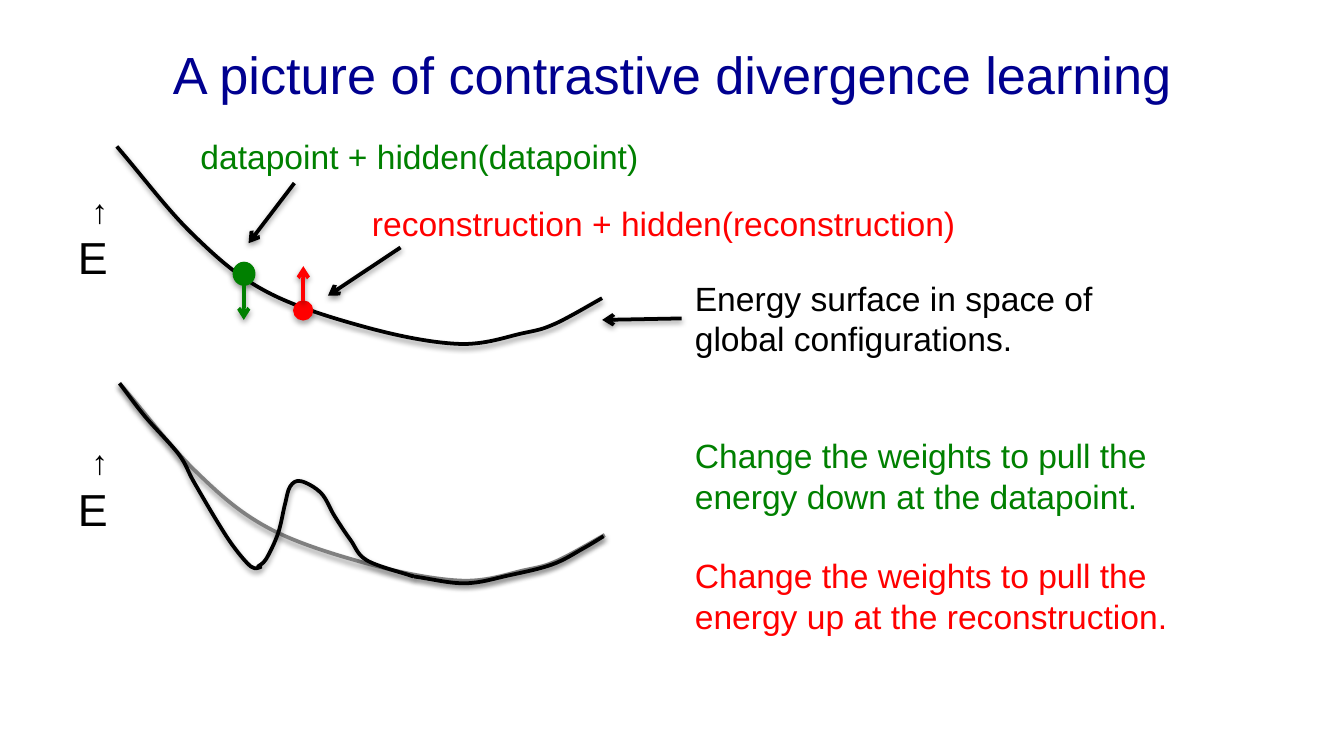
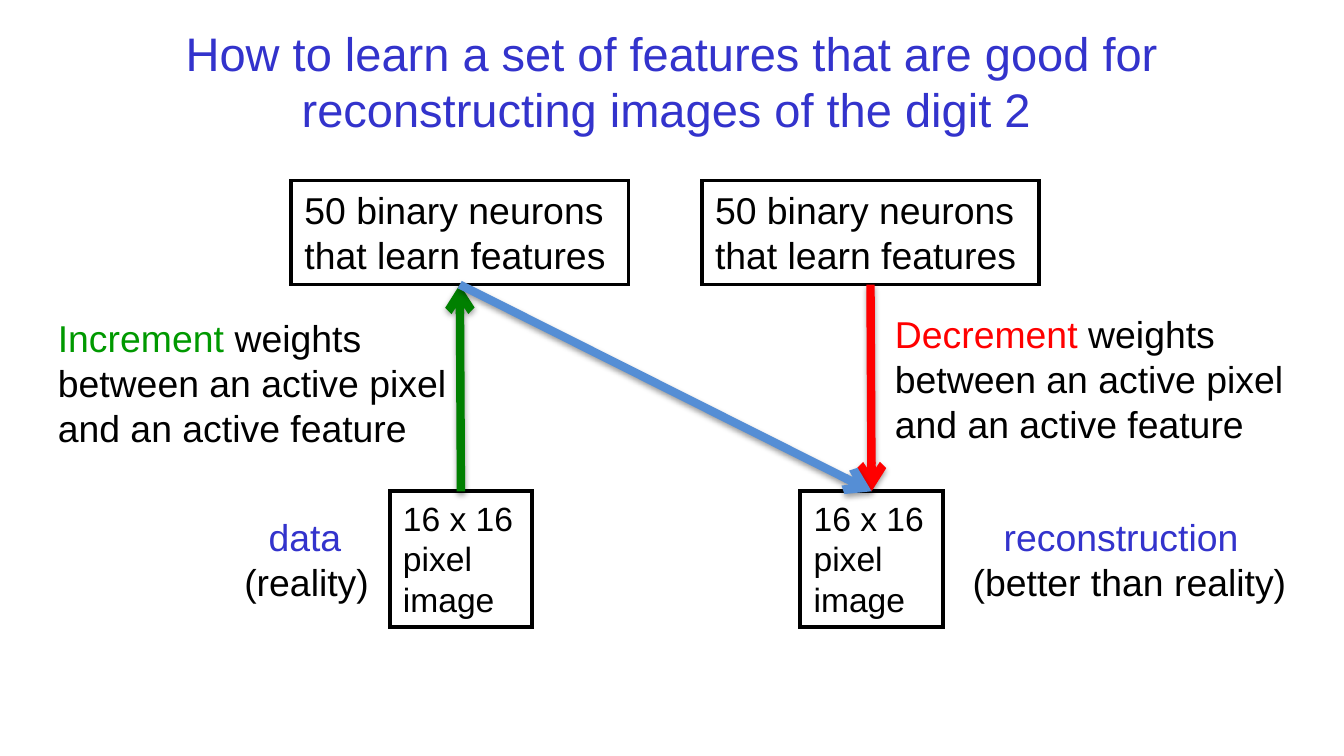
from lxml import etree
from pptx import Presentation
from pptx.dml.color import RGBColor
from pptx.enum import shapes, text
from pptx.oxml import ns
from pptx.util import Pt

HUES = {
    "black": "000000", "grey": "808080", "navy": "000090", "blue": "3333CC",
    "sky": "558ED5", "green": "008000", "leaf": "009900", "red": "FF0000",
}
LEFT, MID = text.PP_ALIGN.LEFT, text.PP_ALIGN.CENTER


def hue(name):
    return RGBColor.from_string(HUES[name])


def node(parent, tag, **attrs):
    return etree.SubElement(parent, ns.qn(tag), attrs)


class Deck:
    font = "Arial"

    def __init__(self):
        self.prs = Presentation()
        self.prs.slide_width, self.prs.slide_height = Pt(720), Pt(405)
        self.slide = None

    def page(self, runs, top, size):
        self.slide = self.prs.slides.add_slide(self.prs.slide_layouts[6])
        box = self.text(36, top, 648, 67.7, [runs], size, MID)
        box.text_frame.vertical_anchor = text.MSO_ANCHOR.MIDDLE

    def fill(self, frame, paras, size, align=LEFT, gap=0, indent=0):
        frame.word_wrap = True
        frame.vertical_anchor = text.MSO_ANCHOR.TOP
        for i, runs in enumerate(paras):
            para = frame.add_paragraph() if i else frame.paragraphs[0]
            para.alignment = align
            if i:
                para.space_before = Pt(gap)
            if indent:
                para._p.get_or_add_pPr().set("indent", str(Pt(indent)))
            for words, color, *own in runs:
                run = para.add_run()
                run.text = words
                run.font.name = self.font
                run.font.size = Pt(own[0] if own else size)
                run.font.color.rgb = hue(color)

    def text(self, x, y, w, h, paras, size=18, align=LEFT, gap=0, indent=0):
        box = self.slide.shapes.add_textbox(Pt(x), Pt(y), Pt(w), Pt(h))
        self.fill(box.text_frame, paras, size, align, gap, indent)
        return box

    def shade(self, shape, alpha=38, dist=1.6):
        effect = node(shape._element.spPr, "a:effectLst")
        shadow = node(effect, "a:outerShdw", blurRad=str(Pt(3.1)),
                      dist=str(Pt(dist)), dir="5400000", rotWithShape="0")
        color = node(shadow, "a:srgbClr", val=HUES["black"])
        node(color, "a:alpha", val=str(alpha * 1000))

    def line(self, shape, color, width):
        shape.line.color.rgb = hue(color)
        shape.line.width = Pt(width)

    def rect(self, x, y, w, h, words, size):
        box = self.slide.shapes.add_shape(
            shapes.MSO_SHAPE.RECTANGLE, Pt(x), Pt(y), Pt(w), Pt(h))
        box.fill.background()
        self.line(box, "black", 2)
        node(box.line._get_or_add_ln(), "a:miter", lim="800000")
        box.shadow.inherit = False
        self.fill(box.text_frame, [[(words, "black")]], size)
        return box

    def dot(self, x, y, w, h, color):
        dot = self.slide.shapes.add_shape(
            shapes.MSO_SHAPE.OVAL, Pt(x), Pt(y), Pt(w), Pt(h))
        dot.fill.solid()
        dot.fill.fore_color.rgb = hue(color)
        self.line(dot, color, 0.75)
        self.shade(dot, 35, 1.8)

    def arrow(self, ends, color="black", width=2):
        arrow = self.slide.shapes.add_connector(
            shapes.MSO_CONNECTOR.STRAIGHT, *(Pt(v) for v in ends))
        self.line(arrow, color, width)
        node(arrow.line._get_or_add_ln(), "a:tailEnd", type="arrow")
        self.shade(arrow)
        return arrow

    def link(self, start, side, end, stop, color):
        arrow = self.arrow((0, 0, 0, 0), color, 4.5)
        arrow.begin_connect(start, side)
        arrow.end_connect(end, stop)

    def curve(self, knots, color="black"):
        first, *rest = [(Pt(x), Pt(y)) for x, y in knots]
        pen = self.slide.shapes.build_freeform(*first, scale=1.0)
        pen.add_line_segments(rest, close=False)
        shape = pen.convert_to_shape()
        self.bend(shape)
        shape.fill.background()
        self.line(shape, color, 2)
        self.shade(shape)

    def bend(self, shape):
        outline = shape._element.spPr.find(".//" + ns.qn("a:path"))
        pts = [(int(p.get("x")), int(p.get("y")))
               for p in outline.iter(ns.qn("a:pt"))]
        (ax, ay), (bx, by) = pts[:2]
        pts = [(2 * ax - bx, 2 * ay - by), *pts, pts[-1]]
        for step in outline.findall(ns.qn("a:lnTo")):
            outline.remove(step)
        for a, b, c, d in zip(pts, pts[1:], pts[2:], pts[3:]):
            cubic = node(outline, "a:cubicBezTo")
            lead = [q + (r - p) / 6 for p, q, r in zip(a, b, c)]
            trail = [q - (r - p) / 6 for p, q, r in zip(b, c, d)]
            for x, y in (lead, trail, c):
                node(cubic, "a:pt", x=str(round(x)), y=str(round(y)))

    def axis(self, y):
        self.text(34.6, y, 48.2, 36, [[("E", "black")]], 24)
        mark = self.text(17.3, y - 35.3, 64.1, 28.8, [[("→", "black")]])
        mark.rotation = 270


def energy(deck):
    deck.page([("A picture of contrastive divergence learning", "navy")],
              5.8, 28)
    base = [(62.6, 78.5), (103, 125.3), (142.6, 156.2), (197.3, 175.7),
            (246.2, 184.3), (280.1, 178.6), (297.4, 173.5), (322.6, 159.8)]
    deck.curve(base)
    deck.dot(125, 140.6, 11.5, 12.2, "green")
    deck.dot(157.4, 161.3, 10.1, 10.1, "red")
    deck.arrow((130.6, 152.6, 130.6, 171.4), "green")
    deck.arrow((162.5, 161.3, 162.5, 142.6), "red")
    pull = "Change the weights to pull the energy "
    deck.text(365.2, 229.7, 270.7, 116.6,
              [[(pull + "down at the datapoint.", "green")],
               [(pull + "up at the reconstruction.", "red")]], gap=21)
    deck.text(100.3, 69.1, 301, 28.8,
              [[("datapoint + hidden(datapoint)", "green")]])
    deck.text(192.2, 105.1, 365, 28.8,
              [[("reconstruction + hidden(reconstruction)", "red")]])
    deck.text(365.2, 145.4, 237.6, 51.1,
              [[("Energy surface in space of global configurations.", "black")]])
    for ends in ((157.7, 98.1, 133.2, 130.3), (214.6, 132.6, 175.7, 158.4),
                 (365.2, 170.6, 322.6, 171.4)):
        deck.arrow(ends)
    deck.curve([(x + 1.4, y + 126.8) for x, y in base], "grey")
    deck.curve([(64.1, 205.4), (77.8, 223.2), (95.8, 243.4), (103.7, 257.8),
                (115.9, 278.6), (125.3, 293), (134.6, 303.6), (139.7, 303.8),
                (138.2, 303.6), (142.6, 299.5), (149, 285.8), (152.6, 270.7),
                (155.5, 260.6), (161.3, 257.8), (172.1, 264.2),
                (179.3, 276.5), (187.9, 289.4), (196.6, 300.2),
                (219.6, 308.2), (220.3, 308.2)])
    deck.curve([(221.8, 308.9), (249.1, 312.5), (272.9, 308.2),
                (295.9, 302.4), (312.5, 293.8), (323.3, 287.3)])
    for y in (119.8, 254.5):
        deck.axis(y)


def digits(deck):
    deck.page([("How to learn a set of features that are good for "
                "reconstructing images of the digit 2", "blue"),
               (" ", "navy", 21.6)], 9.4, 25.2)
    tops, lows = [], []
    for shift in (0, 220):
        tops.append(deck.rect(156 + shift, 96.7, 180.7, 55.8,
                              "50 binary neurons that learn features", 20))
        lows.append(deck.rect(208.8 + shift, 263.2, 76.3, 72.8,
                              "16 x 16 pixel image", 18))
    rest = "weights between an active pixel and an active feature"
    for x, y, w, word, color in ((23.9, 165.4, 239, "Increment ", "leaf"),
                                 (472.3, 163.4, 224.6, "Decrement ", "red")):
        deck.text(x, y, w, 79.9, [[(word, color), (rest, "black")]], 20)
    for x, w, indent, word, note in (
            (123.8, 99.4, 13, "data ", "(reality)"),
            (514, 193, 16.6, "reconstruction ", "(better than reality)")):
        deck.text(x, 272, w, 55.4, [[(word, "blue"), (note, "black")]],
                  20, indent=indent)
    deck.link(lows[0], 0, tops[0], 2, "green")
    deck.link(tops[1], 2, lows[1], 0, "red")
    deck.link(tops[0], 2, lows[1], 0, "sky")


def main():
    deck = Deck()
    energy(deck)
    digits(deck)
    deck.prs.save("out.pptx")


if __name__ == "__main__":
    main()
